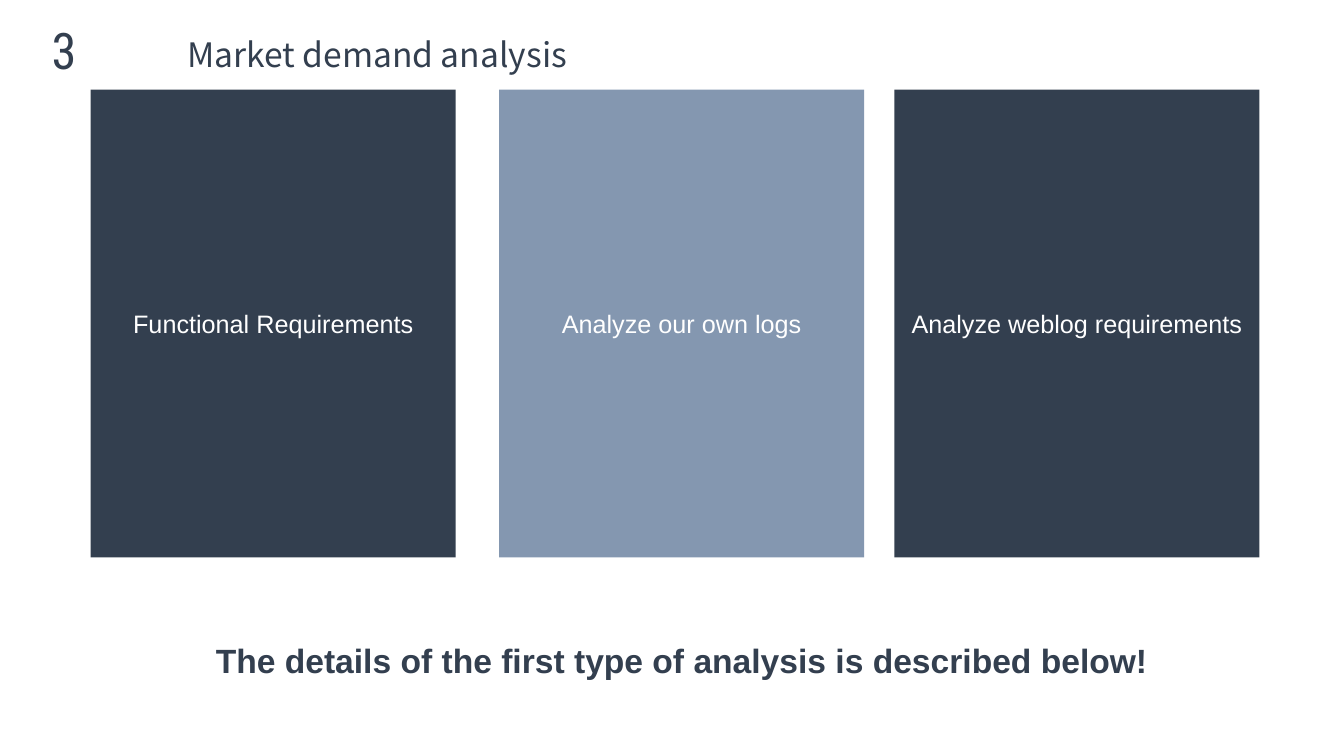
from dataclasses import dataclass

from pptx import Presentation
from pptx import util as u
from pptx.dml.color import RGBColor
from pptx.enum import shapes, text

TITLE = "Market demand analysis"
NUMBER = "3"
PANELS = [
    ("Functional Requirements", "navy", 0.9),
    ("Analyze our own logs", "steel", 4.95),
    ("Analyze weblog requirements", "navy", 8.87),
]
CLOSING = "The details of the first type of analysis is described below!"


@dataclass(frozen=True)
class Theme:
    navy: str = "333F4F"
    steel: str = "8497B0"
    white: str = "FFFFFF"
    body_font: str = "Arial"
    title_font: str = "Noto Sans CJK SC"
    number_font: str = "Roboto Condensed"
    label: int = 18
    heading: int = 24
    number: int = 36


T = Theme()
WIDTH, HEIGHT = 13.33, 7.5
PANEL_TOP, PANEL_W, PANEL_H = 0.89, 3.62, 4.64


def inches(*lengths):
    return [u.Inches(n) for n in lengths]


def write(sp, words, size, color=T.navy, font=T.body_font, bold=False,
          align=text.PP_ALIGN.CENTER, anchor=text.MSO_ANCHOR.TOP,
          inset=None, spacing=None, before=None):
    tf = sp.text_frame
    tf.word_wrap = True
    tf.auto_size = text.MSO_AUTO_SIZE.NONE
    tf.vertical_anchor = anchor
    if inset is not None:
        tf.margin_left = tf.margin_right = u.Inches(inset)
        tf.margin_top = tf.margin_bottom = u.Inches(inset)
    p = tf.paragraphs[0]
    p.alignment = align
    if spacing is not None:
        p.line_spacing = spacing
    if before is not None:
        p.space_before = u.Pt(before)
    r = p.add_run()
    r.text = words
    r.font.name = font
    r.font.size = u.Pt(size)
    r.font.bold = bold
    r.font.color.rgb = RGBColor.from_string(color)


def add_panel(s, label, shade, left):
    sp = s.shapes.add_shape(shapes.MSO_SHAPE.RECTANGLE,
                            *inches(left, PANEL_TOP, PANEL_W, PANEL_H))
    sp.shadow.inherit = False
    sp.fill.solid()
    sp.fill.fore_color.rgb = RGBColor.from_string(getattr(T, shade))
    sp.line.fill.background()
    write(sp, label, T.label, color=T.white, anchor=text.MSO_ANCHOR.MIDDLE)


def main():
    prs = Presentation()
    prs.slide_width, prs.slide_height = inches(WIDTH, HEIGHT)
    s = prs.slides.add_slide(prs.slide_layouts[5])

    title = s.shapes.title
    title.left, title.top, title.width, title.height = inches(1.08, 0.29, 5.32, 0.5)
    write(title, TITLE, T.heading, font=T.title_font)

    for panel in PANELS:
        add_panel(s, *panel)

    closing = s.shapes.add_textbox(*inches(2.14, 6.27, 10.85, 0.48))
    write(closing, CLOSING, T.heading, bold=True, align=text.PP_ALIGN.LEFT,
          inset=0, spacing=1.2, before=4)

    number = s.shapes.add_textbox(*inches(0.29, 0.19, 0.69, 0.61))
    write(number, NUMBER, T.number, font=T.number_font, inset=0)

    prs.save("out.pptx")


if __name__ == "__main__":
    main()
